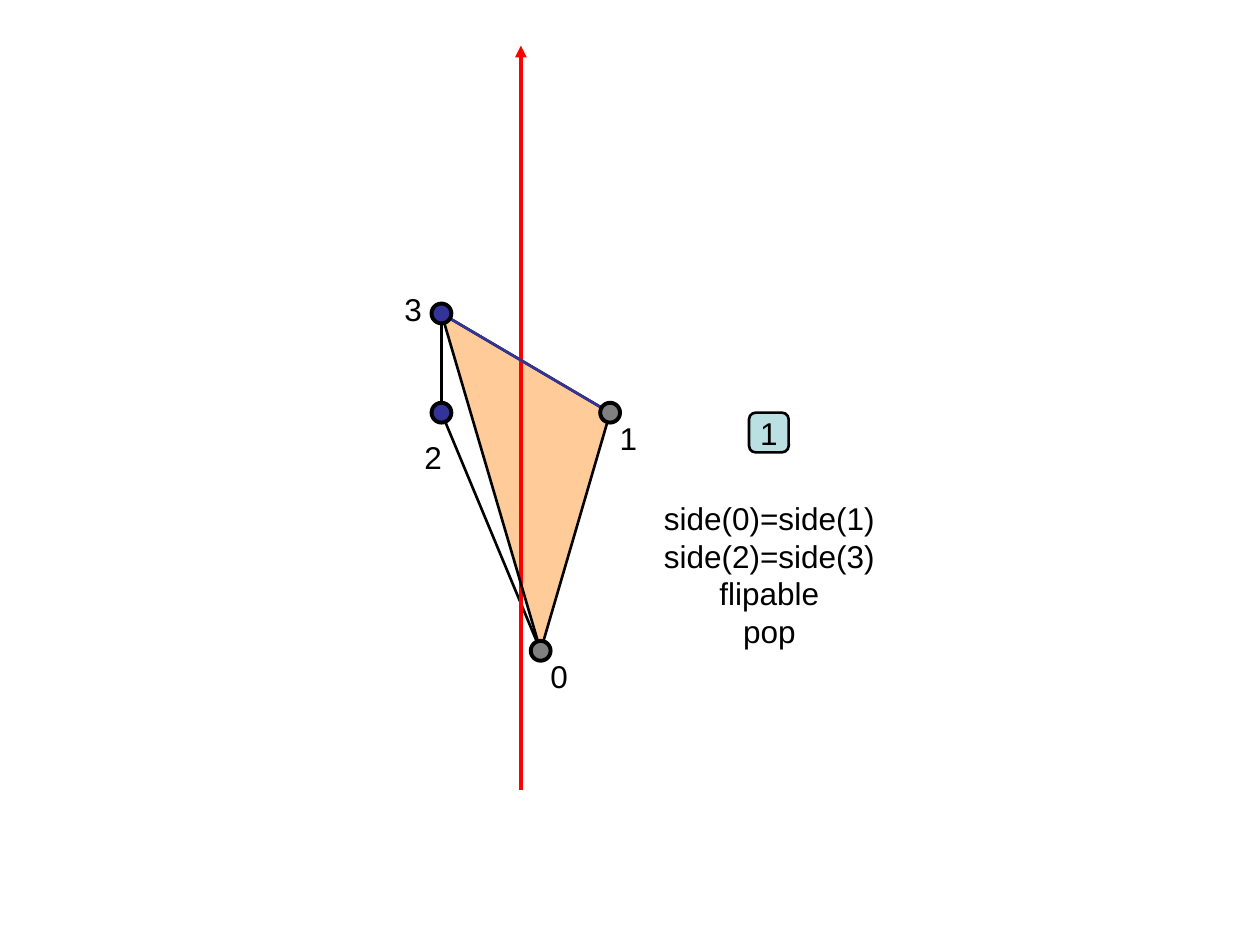
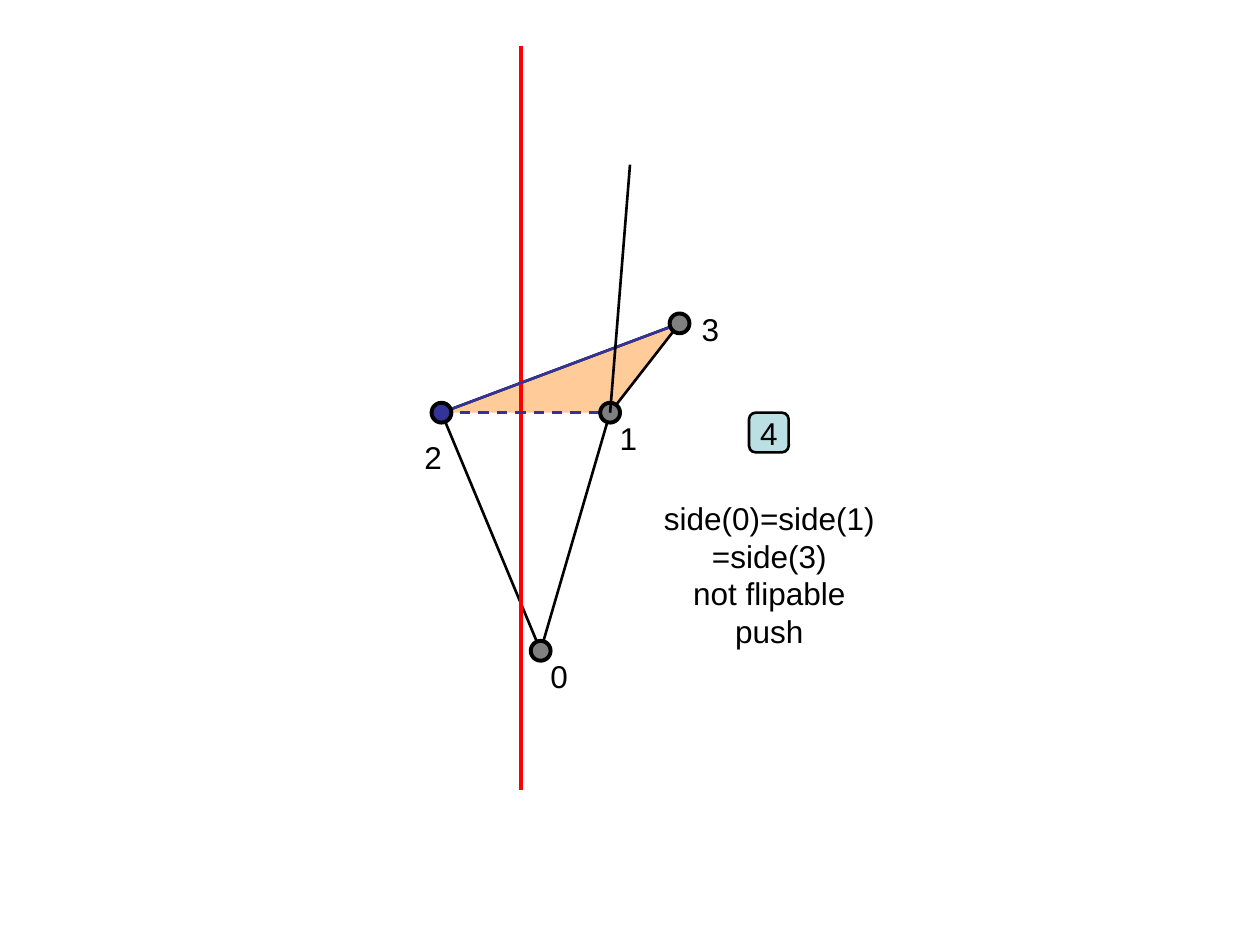
import dataclasses

import pptx
import pptx.dml.color
import pptx.enum.dml
import pptx.enum.shapes
import pptx.enum.text
import pptx.oxml.ns
import pptx.util
from lxml import etree

SHAPES = pptx.enum.shapes.MSO_SHAPE


@dataclasses.dataclass(frozen=True)
class Theme:
    ink: str = "000000"
    sweep: str = "FF0000"
    left_side: str = "333399"
    right_side: str = "808080"
    triangle: str = "FFCC99"
    badge: str = "BBE0E3"
    font: str = "Arial"
    text_size: int = 18
    thin: float = 1.5
    thick: float = 2.25


THEME = Theme()

# The grid has square cells; column 0 is the sweep line, row 0 the height of node 2.
CELL = 10 / 127
ORIGIN_LEFT, ORIGIN_TOP = 52.5 * CELL, 41.6 * CELL

SWEEP_TOP, SWEEP_BOTTOM = (0, -37), (0, 38)
NODE_SIZE = 2
LABEL_SIZE = (4.3, 5.1)
BADGE_CENTER, BADGE_SIZE = (25, 2), 4
RULES_TOP, RULES_SIZE = (25.05, 8.05), (25, 16.5)

TEXT_FORMAT = {
    "margin_left": pptx.util.Inches(0.1),
    "margin_right": pptx.util.Inches(0.1),
    "margin_top": pptx.util.Inches(0.05),
    "margin_bottom": pptx.util.Inches(0.05),
    "word_wrap": False,
}


@dataclasses.dataclass(frozen=True)
class Node:
    point: tuple
    label_offset: tuple  # from the node to the top centre of its label

    @property
    def color(self):
        return THEME.left_side if self.point[0] < 0 else THEME.right_side


NODE_0 = Node((2, 24), (1.85, 0))
NODE_1 = Node((9, 0), (1.85, 0))
NODE_2 = Node((-8, 0), (-0.85, 1.95))
FLIPABLE_NODE_3 = Node((-8, -10), (-2.85, -3))
PUSHED_NODE_3 = Node((16, -9), (3.1, -2))
BRANCH_END = (11, -25)


def rgb(color):
    return pptx.dml.color.RGBColor.from_string(color)


def length(cells):
    return pptx.util.Inches(cells * CELL)


def place(point):
    """Turn a grid point into slide coordinates."""
    column, row = point
    return (pptx.util.Inches(ORIGIN_LEFT + column * CELL),
            pptx.util.Inches(ORIGIN_TOP + row * CELL))


def style_line(line, color, width):
    line.color.rgb = rgb(color)
    line.width = pptx.util.Pt(width)


def style_shape(shape, fill=None, line_width=None):
    shape.shadow.inherit = False
    if fill:
        shape.fill.solid()
        shape.fill.fore_color.rgb = rgb(fill)
    else:
        shape.fill.background()
    if line_width:
        style_line(shape.line, THEME.ink, line_width)
    else:
        shape.line.fill.background()


def write_text(frame, paragraphs):
    """Fill a text frame; each paragraph is a list of lines."""
    for name, value in TEXT_FORMAT.items():
        setattr(frame, name, value)
    for index, lines in enumerate(paragraphs):
        paragraph = frame.add_paragraph() if index else frame.paragraphs[0]
        paragraph.text = "\n".join(lines)
        paragraph.alignment = pptx.enum.text.PP_ALIGN.CENTER
        run_format = {
            "name": THEME.font,
            "size": pptx.util.Pt(THEME.text_size),
        }
        for run in paragraph.runs:
            for name, value in run_format.items():
                setattr(run.font, name, value)
            run.font.color.rgb = rgb(THEME.ink)


def add_text(slide, top_center, size, paragraphs):
    width, height = size
    column, row = top_center
    box = slide.shapes.add_textbox(*place((column - width / 2, row)),
                                   length(width), length(height))
    write_text(box.text_frame, paragraphs)
    box.text_frame.auto_size = pptx.enum.text.MSO_AUTO_SIZE.SHAPE_TO_FIT_TEXT


def add_centered_shape(slide, kind, center, size, fill, line_width):
    column, row = center
    corner = place((column - size / 2, row - size / 2))
    shape = slide.shapes.add_shape(kind, *corner, length(size), length(size))
    style_shape(shape, fill, line_width)
    return shape


def add_polygon(slide, nodes, fill=None, line_width=None):
    points = [place(node.point) for node in nodes]
    builder = slide.shapes.build_freeform(*points[0])
    builder.add_line_segments(points[1:], close=True)
    style_shape(builder.convert_to_shape(), fill, line_width)


def add_line(slide, start, end, color=THEME.ink, width=THEME.thin,
             dashed=False, arrow=False):
    line = slide.shapes.add_connector(
        pptx.enum.shapes.MSO_CONNECTOR.STRAIGHT, *place(start), *place(end))
    style_line(line.line, color, width)
    if dashed:
        line.line.dash_style = pptx.enum.dml.MSO_LINE.DASH
    qualified = pptx.oxml.ns.qn
    properties = line._element.spPr
    if arrow:
        etree.SubElement(properties.find(qualified("a:ln")),
                         qualified("a:headEnd"), type="triangle")
    etree.SubElement(properties, qualified("a:effectLst"))


def add_edge(slide, start_node, end_node, **style):
    add_line(slide, start_node.point, end_node.point, **style)


def add_node(slide, number, node):
    add_centered_shape(slide, SHAPES.OVAL, node.point, NODE_SIZE,
                       node.color, THEME.thick)
    label_top = [sum(pair) for pair in zip(node.point, node.label_offset)]
    add_text(slide, label_top, LABEL_SIZE, [[str(number)]])


def add_badge(slide, number):
    badge = add_centered_shape(slide, SHAPES.ROUNDED_RECTANGLE, BADGE_CENTER,
                               BADGE_SIZE, THEME.badge, THEME.thin)
    write_text(badge.text_frame, [[str(number)]])
    badge.text_frame.vertical_anchor = pptx.enum.text.MSO_ANCHOR.MIDDLE


def add_case(presentation, number, node_3, triangle, outline, edges, rules,
             arrow=False):
    """Add one slide; edges are (start node, end node, style)."""
    slide = presentation.slides.add_slide(presentation.slide_layouts[6])
    add_polygon(slide, triangle, fill=THEME.triangle)
    add_polygon(slide, outline, line_width=THEME.thin)
    add_line(slide, SWEEP_TOP, SWEEP_BOTTOM, THEME.sweep, THEME.thick,
             arrow=arrow)
    for start, end, style in edges:
        add_edge(slide, start, end, **style)
    for index, node in enumerate((NODE_0, NODE_1, NODE_2, node_3)):
        add_node(slide, index, node)
    add_text(slide, RULES_TOP, RULES_SIZE, rules)
    add_badge(slide, number)
    return slide


def main():
    presentation = pptx.Presentation()
    presentation.slide_width = pptx.util.Inches(10)
    presentation.slide_height = pptx.util.Inches(7.5)
    crossing = {"color": THEME.left_side}

    add_case(
        presentation, 1, FLIPABLE_NODE_3,
        triangle=(FLIPABLE_NODE_3, NODE_0, NODE_1),
        outline=(NODE_0, NODE_1, FLIPABLE_NODE_3, NODE_2),
        edges=[(FLIPABLE_NODE_3, NODE_0, {}),
               (FLIPABLE_NODE_3, NODE_1, crossing)],
        rules=[["side(0)=side(1)", "side(2)=side(3)", "flipable"], ["pop"]],
        arrow=True)

    push_slide = add_case(
        presentation, 4, PUSHED_NODE_3,
        triangle=(NODE_2, PUSHED_NODE_3, NODE_1),
        outline=(NODE_0, NODE_1, PUSHED_NODE_3, NODE_2),
        edges=[(NODE_2, NODE_1, {**crossing, "dashed": True}),
               (NODE_2, PUSHED_NODE_3, crossing)],
        rules=[["side(0)=side(1)", "=side(3)", "not flipable"], ["push"]])
    add_line(push_slide, NODE_1.point, BRANCH_END)

    presentation.save("out.pptx")


if __name__ == "__main__":
    main()
